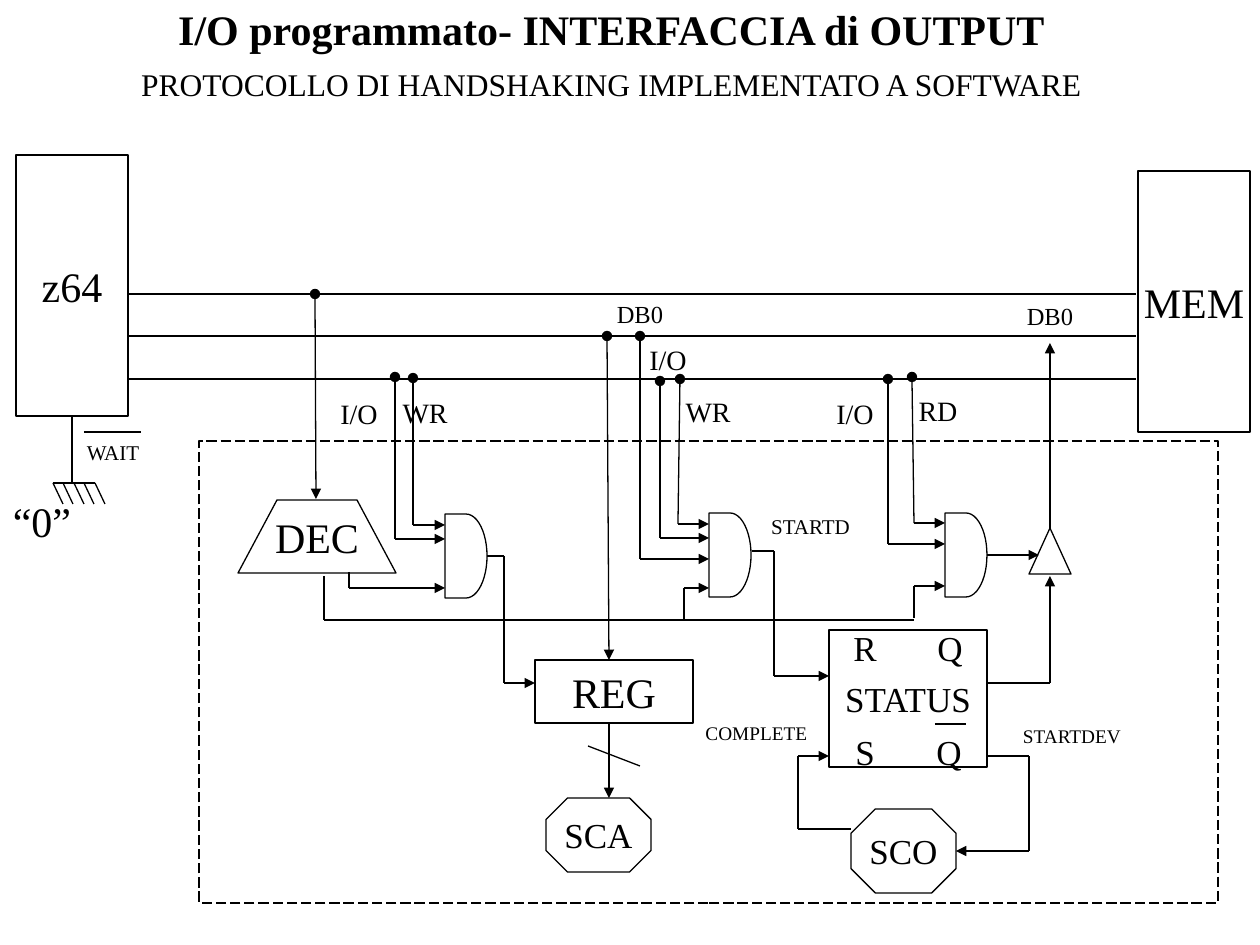
from dataclasses import dataclass
from itertools import pairwise

from lxml.etree import SubElement
from pptx import Presentation
from pptx.dml.color import RGBColor
from pptx.enum.dml import MSO_LINE
from pptx.enum.shapes import MSO_CONNECTOR, MSO_SHAPE as Preset
from pptx.enum.text import MSO_ANCHOR as Anchor, MSO_AUTO_SIZE as AutoSize, PP_ALIGN as Align
from pptx.oxml.ns import qn
from pptx.util import Inches, Pt

SCALE = Inches(1) / 126


def px(length):
    return round(length * SCALE)


@dataclass(frozen=True)
class Theme:
    font: str = "Times New Roman"
    ink: RGBColor = RGBColor(0, 0, 0)
    stroke: float = 0.75
    heading: int = 24
    subheading: int = 18
    block: int = 24
    unit: int = 20
    control: int = 16
    data: int = 14
    signal: int = 12
    handshake: int = 11


def write_text(paragraph, text, *, theme, size, bold=False, before=0):
    paragraph.alignment = Align.CENTER
    paragraph.space_before = Pt(before)
    run = paragraph.add_run()
    run.text = text
    run.font.name = theme.font
    run.font.size = Pt(size)
    run.font.bold = bold
    run.font.color.rgb = theme.ink


class Diagram:
    def __init__(self, slide, theme):
        self.slide = slide
        self.shapes = slide.shapes
        self.theme = theme

    def title(self, heading, subheading, left, top, width, height):
        box = self.shapes.title
        box.left, box.top, box.width, box.height = map(px, (left, top, width, height))
        frame = box.text_frame
        frame.auto_size = AutoSize.NONE
        frame.vertical_anchor = Anchor.TOP
        frame.margin_top = px(20)
        write_text(frame.paragraphs[0], heading, theme=self.theme,
                   size=self.theme.heading, bold=True)
        write_text(frame.add_paragraph(), subheading, theme=self.theme,
                   size=self.theme.subheading, before=6)

    def caption(self, shape, text, size):
        frame = shape.text_frame
        frame.auto_size = AutoSize.NONE
        frame.word_wrap = False
        frame.vertical_anchor = Anchor.MIDDLE
        write_text(frame.paragraphs[0], text, theme=self.theme, size=size)

    def outline(self, shape, text, size):
        shape.shadow.inherit = False
        shape.fill.background()
        shape.line.color.rgb = self.theme.ink
        shape.line.width = Pt(self.theme.stroke)
        if text:
            self.caption(shape, text, size)
        return shape

    def block(self, preset, left, top, width, height, text="", size=None):
        shape = self.shapes.add_shape(preset, *map(px, (left, top, width, height)))
        return self.outline(shape, text, size)

    def polygon(self, points, text, size):
        builder = self.shapes.build_freeform(*points[0], scale=SCALE)
        builder.add_line_segments(points[1:], close=True)
        return self.outline(builder.convert_to_shape(), text, size)

    def label(self, text, left, top, width, height, size):
        self.caption(self.shapes.add_textbox(*map(px, (left, top, width, height))), text, size)

    def wire(self, *points, head=None, tail=None, begin=None):
        segments = list(pairwise(points))
        for index, (start, stop) in enumerate(segments):
            line = self.shapes.add_connector(MSO_CONNECTOR.STRAIGHT, *map(px, (*start, *stop)))
            line.line.color.rgb = self.theme.ink
            line.line.width = Pt(self.theme.stroke)
            properties = line._element.spPr
            stroke = properties.find(qn("a:ln"))
            if head and index == 0:
                SubElement(stroke, qn("a:headEnd"), type=head)
            if tail and index == len(segments) - 1:
                SubElement(stroke, qn("a:tailEnd"), type=tail)
            SubElement(properties, qn("a:effectLst"))
            if begin and index == 0:
                line.begin_connect(*begin)

    def arrow(self, *points, **ends):
        self.wire(*points, tail="triangle", **ends)

    def tap(self, *points):
        self.arrow(*points, head="oval")


def main():
    deck = Presentation()
    deck.slide_width, deck.slide_height = px(1260), px(945)
    theme = Theme()
    diagram = Diagram(deck.slides.add_slide(deck.slide_layouts[5]), theme)

    diagram.title("I/O programmato- INTERFACCIA di OUTPUT",
                  "PROTOCOLLO DI HANDSHAKING IMPLEMENTATO A SOFTWARE", 84, -16, 1055, 183)

    interface = diagram.block(Preset.RECTANGLE, 199, 441, 1019, 462)
    interface.line.dash_style = MSO_LINE.LONG_DASH
    cpu = diagram.block(Preset.RECTANGLE, 16, 155, 112, 261, "z64", theme.block)
    diagram.block(Preset.RECTANGLE, 1138, 171, 112, 261, "MEM", theme.block)
    diagram.block(Preset.RECTANGLE, 535, 660, 158, 63, "REG", theme.block)
    diagram.block(Preset.RECTANGLE, 829, 630, 158, 137, "STATUS", theme.unit)
    diagram.polygon([(238, 573), (277, 500), (357, 500), (396, 573)], "DEC", theme.block)
    for device, left, top, height in [("SCA", 546, 798, 74), ("SCO", 851, 809, 84)]:
        octagon = diagram.block(Preset.OCTAGON, left, top, 105, height, device, theme.unit)
        octagon.adjustments[0] = 0.29
    write_gate, start_gate, read_gate = [
        diagram.block(Preset.FLOWCHART_DELAY, left, top, 42, 84)
        for left, top in [(445, 514), (709, 513), (945, 513)]]
    buffer = diagram.block(Preset.ISOSCELES_TRIANGLE, 1029, 528, 42, 46)

    for bus in (294, 336, 379):
        diagram.wire((128, bus), (1136, bus))

    diagram.tap((315, 294), (316, 499))
    diagram.tap((607, 336), (609, 660))
    diagram.tap((413, 378), (413, 525), (445, 525))
    diagram.tap((395, 377), (395, 539), (445, 539))
    diagram.tap((680, 379), (678, 524), (709, 524))
    diagram.tap((660, 381), (660, 538), (709, 538))
    diagram.tap((640, 336), (640, 559), (709, 559))
    diagram.tap((912, 377), (914, 523), (945, 523))
    diagram.tap((888, 379), (888, 544), (945, 544))

    diagram.wire((324, 576), (324, 620), (914, 620))
    diagram.arrow((349, 572), (349, 588), (445, 588))
    diagram.arrow((684, 620), (684, 588), (709, 588))
    diagram.arrow((914, 618), (914, 586), (945, 586))

    diagram.arrow((487, 556), (504, 556), (504, 683), (535, 683), begin=(write_gate, 3))
    diagram.arrow((752, 551), (774, 551), (774, 676), (829, 676))
    diagram.arrow((987, 555), (1039, 555), begin=(read_gate, 3))
    diagram.arrow((987, 683), (1050, 683), (1050, 576))
    diagram.arrow((1050, 528), (1050, 343), begin=(buffer, 0))
    diagram.arrow((851, 829), (798, 829), (798, 756), (829, 756))
    diagram.arrow((987, 756), (1029, 756), (1029, 851), (956, 851))
    diagram.arrow((609, 724), (609, 798))
    diagram.wire((588, 746), (640, 766))

    diagram.wire((72, 416), (72, 483), begin=(cpu, 2))
    diagram.wire((53, 483), (95, 483))
    for hatch in range(5):
        left = 53 + hatch * 21 // 2
        diagram.wire((left, 483), (left + 10, 504))
    diagram.label("“0”", 0, 489, 84, 63, theme.block)
    diagram.label("WAIT", 53, 433, 120, 38, theme.signal)
    diagram.wire((84, 432), (141, 432))

    for pin, left, top in [("R", 843, 620), ("Q", 928, 620), ("S", 843, 723), ("Q", 927, 723)]:
        diagram.label(pin, left, top, 44, 56, theme.unit)
    diagram.wire((935, 724), (966, 724))

    for control, left, top in [("I/O", 325, 390), ("WR", 391, 389), ("I/O", 634, 336),
                               ("WR", 674, 388), ("I/O", 821, 390), ("RD", 904, 387)]:
        diagram.label(control, left, top, 68, 47, theme.control)
    for left, top in [(604, 292), (1014, 294)]:
        diagram.label("DB0", left, top, 72, 43, theme.data)
    diagram.label("STARTD", 757, 507, 107, 38, theme.signal)
    diagram.label("COMPLETE", 693, 714, 127, 37, theme.handshake)
    diagram.label("STARTDEV", 1009, 717, 126, 37, theme.handshake)

    deck.save("out.pptx")


if __name__ == "__main__":
    main()
